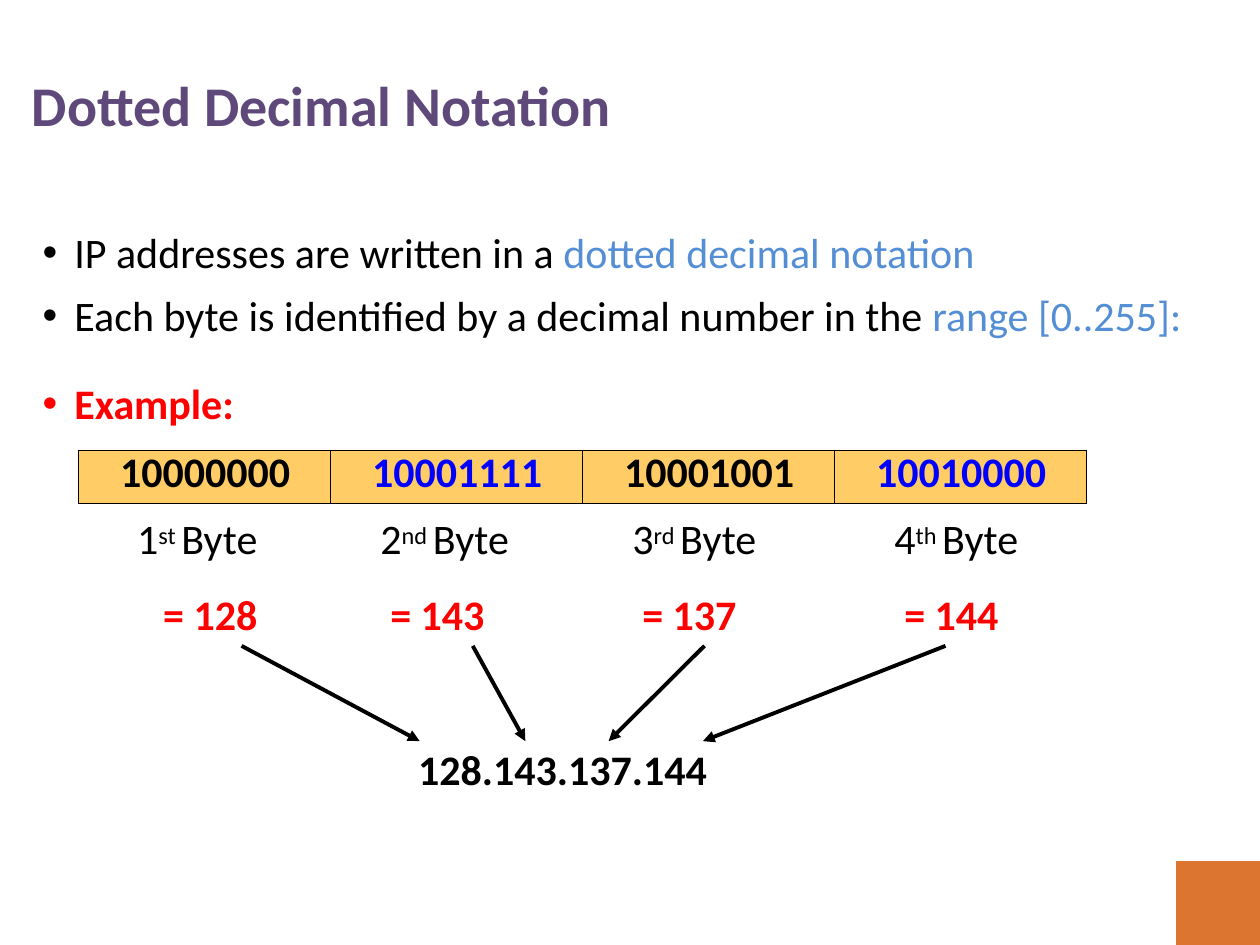
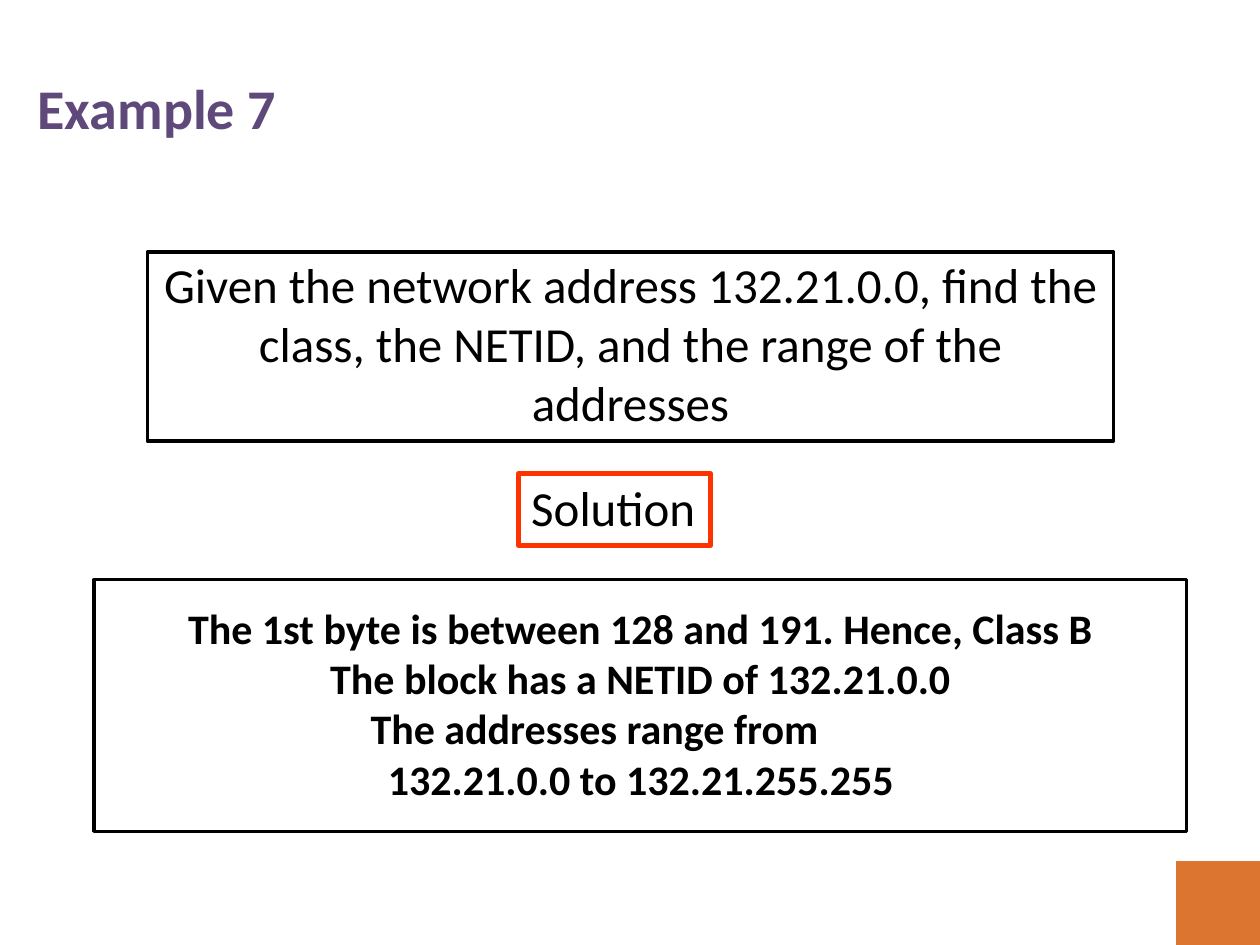
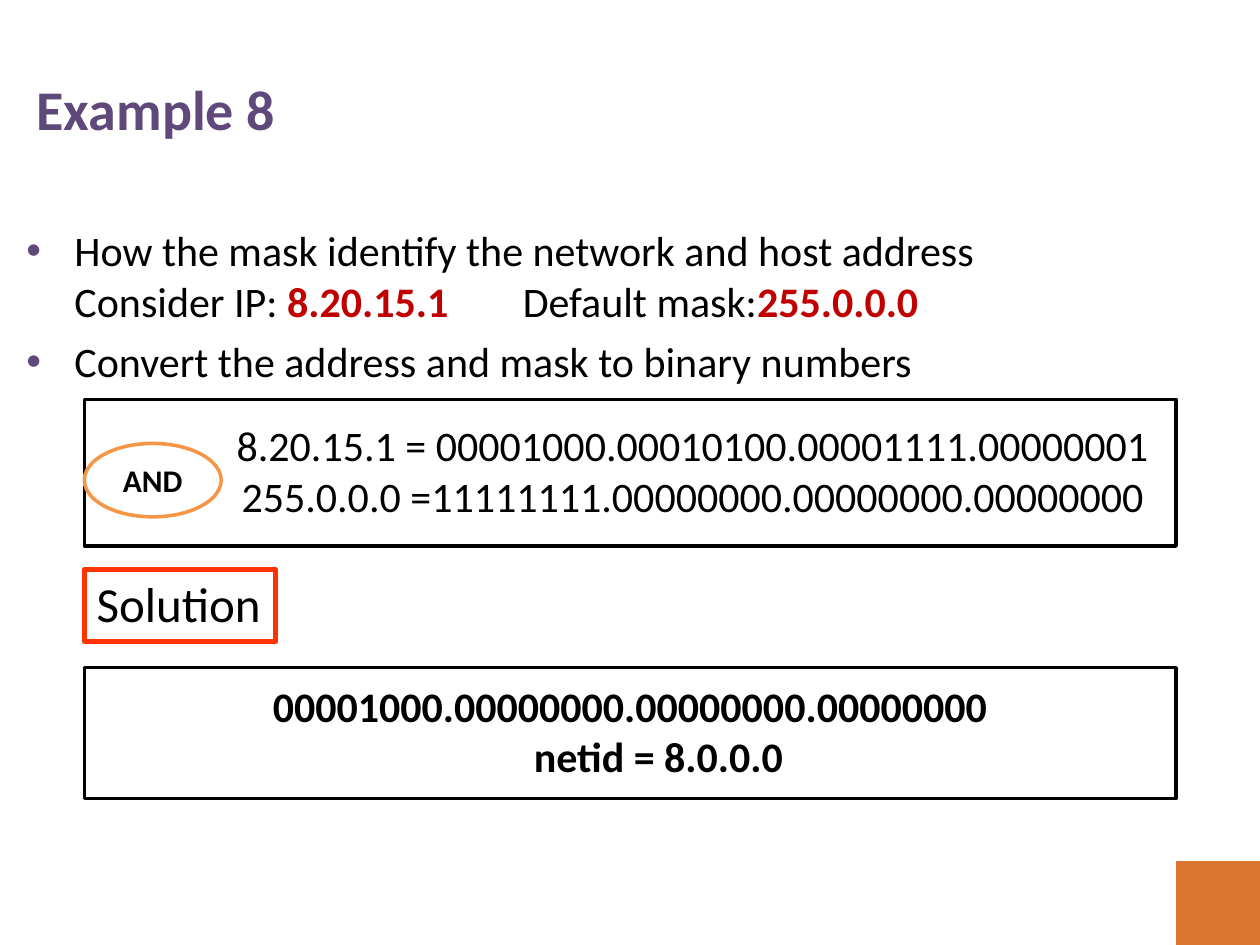
from lxml.etree import SubElement
from pptx import Presentation
from pptx.dml.color import RGBColor
from pptx.enum.shapes import MSO_CONNECTOR, MSO_SHAPE
from pptx.enum.text import MSO_ANCHOR, MSO_AUTO_SIZE, PP_ALIGN
from pptx.oxml.ns import qn
from pptx.util import Cm, Pt

FONT = "Calibri"
BLACK = RGBColor(0x00, 0x00, 0x00)
WHITE = RGBColor(0xFF, 0xFF, 0xFF)
PURPLE = RGBColor(0x5F, 0x49, 0x7A)
SKY = RGBColor(0x54, 0x8E, 0xD4)
BLUE = RGBColor(0x00, 0x00, 0xFF)
RED = RGBColor(0xFF, 0x00, 0x00)
DARK_RED = RGBColor(0xC0, 0x00, 0x00)
SAND = RGBColor(0xFF, 0xCC, 0x66)
ORANGE = RGBColor(0xDB, 0x75, 0x30)
LIGHT_ORANGE = RGBColor(0xF7, 0x95, 0x46)
VERMILION = RGBColor(0xFF, 0x33, 0x00)
CENTRED = {"alignment": PP_ALIGN.CENTER}


def write_lines(shape, lines, size=24, color=BLACK, bold=False, **frame_format):
    """Fill a shape with lines, each a (runs, paragraph format) pair.

    A run is a (text, font format) pair; the text "\\n" is a line break.
    """
    frame = shape.text_frame
    frame_values = {"word_wrap": True, "auto_size": MSO_AUTO_SIZE.NONE,
                    "vertical_anchor": MSO_ANCHOR.TOP, "margin_left": 0,
                    "margin_top": 0, "margin_right": 0, "margin_bottom": 0}
    for name, value in (frame_values | frame_format).items():
        setattr(frame, name, value)
    for number, (runs, paragraph_format) in enumerate(lines):
        paragraph = frame.add_paragraph() if number else frame.paragraphs[0]
        paragraph_values = {"alignment": PP_ALIGN.LEFT, "space_before": Pt(0)}
        for name, value in (paragraph_values | paragraph_format).items():
            if name in ("marL", "indent"):
                paragraph._p.get_or_add_pPr().set(name, str(int(value)))
            else:
                setattr(paragraph, name, value)
        for text, font_format in runs:
            if text == "\n":
                paragraph.add_line_break()
                continue
            run = paragraph.add_run()
            run.text = text
            font_values = {"name": FONT, "size": Pt(size), "bold": bold,
                           "color": color} | font_format
            run.font.color.rgb = font_values.pop("color")
            for name, value in font_values.items():
                setattr(run.font, name, value)


def add_box(slide, bounds, line_color, line_width, lines,
            preset=MSO_SHAPE.RECTANGLE, **text_format):
    box = slide.shapes.add_shape(preset, *map(Cm, bounds))
    box.shadow.inherit = False
    box.fill.solid()
    box.fill.fore_color.rgb = WHITE
    box.line.color.rgb = line_color
    box.line.width = Pt(line_width)
    write_lines(box, lines, **text_format)


presentation = Presentation()
presentation.slide_width = Cm(25.4)
presentation.slide_height = Cm(19.05)

# Titles: layout number, text, top, width, left inset, top inset
TITLES = [
    (1, "Dotted Decimal Notation", 1.4, 11.79, 0.03, 0.03),
    (5, "Example 7", 1.3, 24.16, 0.15, 0.18),
    (1, "Example 8", 1.3, 24.16, 0.13, 0.2),
]
slides = []
for layout, text, top, width, left_inset, top_inset in TITLES:
    slide = presentation.slides.add_slide(presentation.slide_layouts[layout])
    title = slide.shapes.title
    title.left, title.top, title.width, title.height = map(Cm, (0.61, top, width, 1.42))
    write_lines(title, [([(text, {})], {})], size=32, color=PURPLE, bold=True,
                margin_left=Cm(left_inset), margin_top=Cm(top_inset))
    slides.append(slide)
notation_slide, class_slide, mask_slide = slides

# The corner square belongs to the master, so every slide shows it
corner = notation_slide.shapes.add_shape(
    MSO_SHAPE.RECTANGLE, Cm(23.71), Cm(17.36), Cm(1.69), Cm(1.69))
corner.shadow.inherit = False
corner.fill.solid()
corner.fill.fore_color.rgb = ORANGE
corner.line.fill.background()
corner.element.nvSpPr.cNvPr.set("id", "20")
presentation.slide_master.element.cSld.spTree.append(corner.element)

# Slide 1: dotted decimal notation
body = notation_slide.placeholders[1]
body.left, body.top, body.width, body.height = map(Cm, (0.84, 4.29, 23.4, 4.39))
bullet = {"marL": Cm(0.66), "indent": Cm(-0.64)}
write_lines(body, [
    ([("IP addresses are written in a ", {}),
      ("dotted decimal notation", {"color": SKY})], bullet),
    ([("Each byte is identified by a decimal number in the ", {}),
      ("range [0..255]:", {"color": SKY})], bullet | {"space_before": Pt(7.2)}),
    ([("Example:", {"color": RED, "bold": True})], bullet | {"space_before": Pt(21.4)}),
], margin_top=Cm(0.28))

byte_values = [128, 143, 137, 144]
byte_table = notation_slide.shapes.add_table(
    1, 4, Cm(1.58), Cm(9.08), Cm(20.32), Cm(1.07)).table
for column, value in enumerate(byte_values):
    cell = byte_table.cell(0, column)
    for name in ("margin_left", "margin_top", "margin_right", "margin_bottom"):
        setattr(cell, name, 0)
    for side in ("a:lnL", "a:lnR", "a:lnT", "a:lnB"):
        border = SubElement(cell._tc.get_or_add_tcPr(), qn(side), w=str(Pt(0.75)))
        border_fill = SubElement(border, qn("a:solidFill"))
        SubElement(border_fill, qn("a:srgbClr"), val=str(BLACK))
    cell.fill.solid()
    cell.fill.fore_color.rgb = SAND
    write_lines(cell, [([(f"{value:08b}", {})],
                        {"marL": Cm(0.84), "line_spacing": Pt(27.9)})],
                color=BLUE if column % 2 else BLACK, bold=True)

ordinals = ["st", "nd", "rd", "th"]
label_lefts = [2.49, 7.57, 12.65, 17.93]
arrow_starts = [4.87, 9.53, 14.2, 19.06]
arrow_ends = [8.46, 10.59, 12.27, 14.17]
for column, value in enumerate(byte_values):
    label = notation_slide.shapes.add_textbox(
        Cm(label_lefts[column]), Cm(9.8), Cm(2.95 if column else 2.7), Cm(3.12))
    if column:
        name_format, value_format = {"marL": Cm(0.1)}, {"marL": Cm(0.3)}
    else:
        name_format = value_format = {"alignment": PP_ALIGN.RIGHT}
    write_lines(label, [
        ([(str(column + 1), {}), (ordinals[column] + " ", {}), ("Byte", {})], name_format),
        ([(f"= {value}", {"color": RED, "bold": True})],
         value_format | {"space_before": Pt(14.4)}),
    ], margin_top=Cm(0.53))
    ordinal_run = label.text_frame.paragraphs[0].runs[1]
    ordinal_run._r.get_or_add_rPr().set("baseline", "24000")

    arrow = notation_slide.shapes.add_connector(
        MSO_CONNECTOR.STRAIGHT, Cm(arrow_starts[column]), Cm(13.02),
        Cm(arrow_ends[column]), Cm(14.94))
    arrow.line.color.rgb = BLACK
    arrow.line.width = Pt(2.25)
    SubElement(arrow.line._get_or_add_ln(), qn("a:tailEnd"), type="triangle")
    SubElement(arrow.element.spPr, qn("a:effectLst"))

address = notation_slide.shapes.add_textbox(Cm(8.4), Cm(14.96), Cm(6.2), Cm(1.09))
write_lines(address, [([(".".join(map(str, byte_values)), {})], {})],
            bold=True, margin_left=Cm(0.03), margin_top=Cm(0.03))

# Slide 2: class, network and range of an address
add_box(class_slide, (2.97, 5.08, 19.48, 3.81), BLACK, 2, [
    ([("Given the network address 132.21.0.0, find the class, the NETID, "
       "and the range of the addresses", {})], CENTRED),
], size=28, margin_left=Cm(0.25), margin_right=Cm(0.25), margin_top=Cm(0.05))
add_box(class_slide, (1.9, 11.68, 22.02, 5.08), BLACK, 2, [
    ([("The 1st byte is between 128 and 191. Hence, Class B", {})], CENTRED),
    ([("The block has a NETID of 132.21.0.0", {})], CENTRED),
    ([("The addresses range from", {})], {"marL": Cm(5.57)}),
    ([("132.21.0.0 to 132.21.255.255", {})], {"marL": Cm(5.92)}),
], bold=True, margin_top=Cm(0.46))

# Slide 3: applying a mask
body = mask_slide.placeholders[1]
body.left, body.top, body.width, body.height = map(Cm, (0.51, 4.5, 19.6, 3.33))
bullet = {"marL": Cm(0.99), "indent": Cm(-0.97)}
write_lines(body, [
    ([("How the mask identify the network and host address", {}), ("\n", {}),
      ("Consider IP: ", {}), ("8.20.15.1\t", {"color": DARK_RED, "bold": True}),
      ("Default mask:", {}), ("255.0.0.0", {"color": DARK_RED, "bold": True})], bullet),
    ([("Convert the address and mask to binary numbers", {})],
     bullet | {"space_before": Pt(5.8)}),
], margin_top=Cm(0.03))
for paragraph in body.text_frame.paragraphs:
    properties = paragraph._p.get_or_add_pPr()
    bullet_color = SubElement(properties, qn("a:buClr"))
    SubElement(bullet_color, qn("a:srgbClr"), val=str(PURPLE))
    tab_stops = SubElement(properties, qn("a:tabLst"))
    for position in (0.99, 10.03):
        SubElement(tab_stops, qn("a:tab"), pos=str(Cm(position)), algn="l")

add_box(mask_slide, (1.7, 8.05, 22.01, 2.96), BLACK, 2, [
    ([("8.20.15.1 = 00001000.00010100.00001111.00000001", {})], {}),
    ([("255.0.0.0 =11111111.00000000.00000000.00000000", {})], {"marL": Cm(0.1)}),
], margin_left=Cm(3.07), margin_top=Cm(0.41))
add_box(mask_slide, (1.7, 8.94, 2.76, 1.48), LIGHT_ORANGE, 2, [([("AND", {})], CENTRED)],
        preset=MSO_SHAPE.OVAL, size=18, bold=True, vertical_anchor=MSO_ANCHOR.MIDDLE)
add_box(mask_slide, (1.7, 13.46, 22.01, 2.64), BLACK, 2, [
    ([("00001000.00000000.00000000.00000000", {})], CENTRED),
    ([("netid = 8.0.0.0", {})], CENTRED | {"marL": Cm(1.14)}),
], bold=True, margin_top=Cm(0.25))

for slide, left, top in ((class_slide, 10.46, 9.55), (mask_slide, 1.7, 11.48)):
    add_box(slide, (left, top, 3.86, 1.45), VERMILION, 3, [([("Solution", {})], {})],
            size=28, margin_left=Cm(0.25), margin_top=Cm(0.08))

presentation.save("out.pptx")
